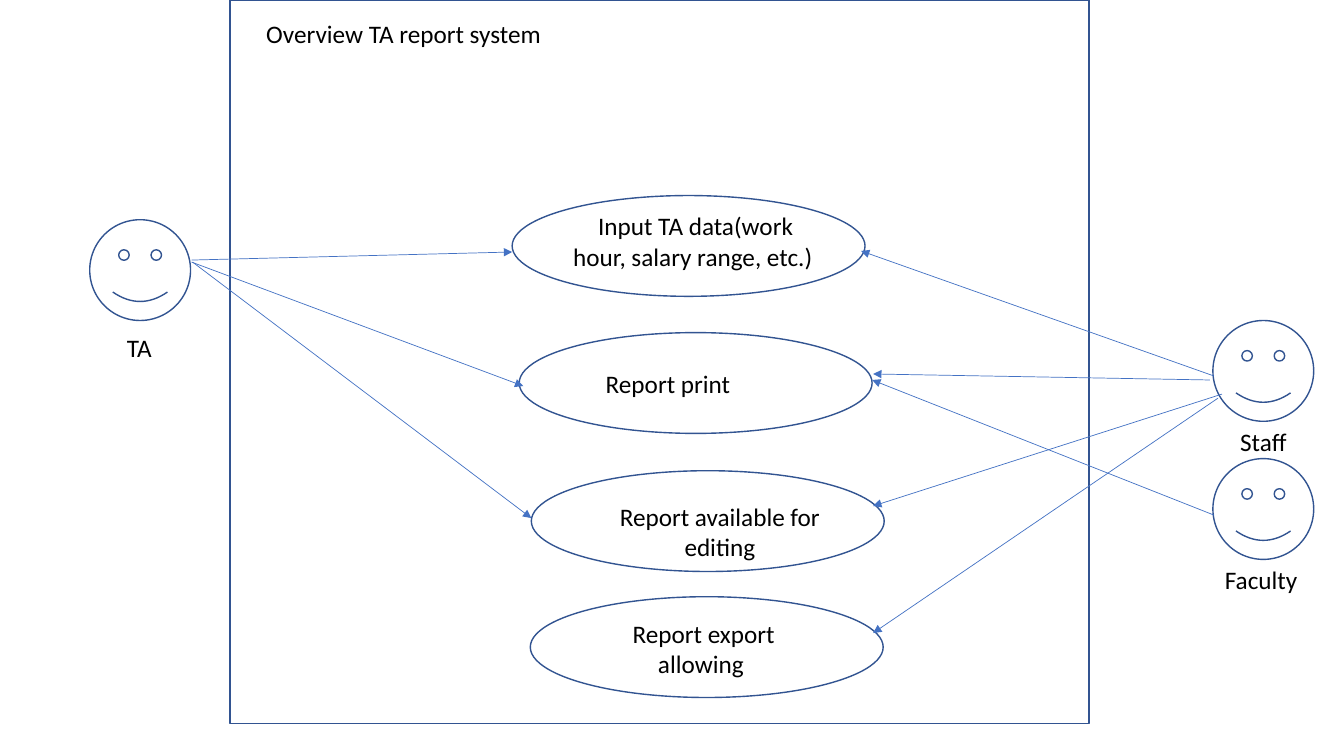
from lxml.etree import SubElement
from pptx import Presentation
from pptx.dml.color import RGBColor
from pptx.enum.shapes import MSO_CONNECTOR as LINE, MSO_SHAPE as SHAPE
from pptx.enum.text import MSO_ANCHOR as ANCHOR, PP_ALIGN as ALIGN
from pptx.oxml.ns import qn
from pptx.util import Inches, Pt

COLORS = {"outline": "325491", "arrow": "4472C4", "text": "000000"}
COLS, ROWS = 13.33, 7.5
FACE, OVAL_W, OVAL_H = 1, 3.5, 1
LABEL_H, TWO_LINES = 0.4, 0.71

# name: face corner, label box (left, top, width), label alignment
ACTORS = {
    "TA": ((0.89, 2.18), (1.16, 3.25, 0.97), ALIGN.LEFT),
    "Staff": ((12.03, 3.18), (11.82, 4.18, 1.42), ALIGN.CENTER),
    "Faculty": ((12.03, 4.55), (12.05, 5.55, 1.03), ALIGN.LEFT),
}

# name: oval corner, label box, label alignment
USE_CASES = {
    "Input TA data(work hour, salary range, etc.)\u00a0":
        ((5.08, 1.94), (5.58, 2.04, 2.64, TWO_LINES), ALIGN.CENTER),
    "Report print":
        ((5.15, 3.3), (5.91, 3.6, 2.64, LABEL_H), ALIGN.LEFT),
    "Report available for editing":
        ((5.27, 4.67), (5.82, 4.92, 2.64, TWO_LINES), ALIGN.CENTER),
    "Report export allowing\u00a0":
        ((5.26, 5.92), (6.11, 6.08, 1.74, TWO_LINES), ALIGN.CENTER),
}

# actor end, use case end
ARROWS = [
    # TA
    ((1.9, 2.58), (5.08, 2.5)),
    ((1.9, 2.6), (5.19, 3.83)),
    ((1.91, 2.6), (5.27, 5.14)),
    # Staff
    ((12.04, 3.73), (8.54, 2.49)),
    ((12, 3.77), (8.66, 3.71)),
    ((12.12, 3.91), (8.66, 5.02)),
    ((12.08, 3.95), (8.66, 6.28)),
    # Faculty
    ((12.04, 5.11), (8.65, 3.77)),
]


class Diagram:
    """Style and current slide; lengths are in one-inch columns and rows."""

    font, size = "Calibri", 18

    def __init__(self, prs):
        """Add a title-only slide."""
        self.slide = prs.slides.add_slide(prs.slide_layouts[5])
        self.shapes = self.slide.shapes

    def color(self, name):
        """Look up a colour by name."""
        return RGBColor.from_string(COLORS[name])

    def set_text(self, sp, text, align):
        """Put one styled paragraph into a shape."""
        tf = sp.text_frame
        tf.word_wrap = True
        tf.vertical_anchor = ANCHOR.TOP
        tf.text = text
        p = tf.paragraphs[0]
        p.alignment = align
        p.font.name, p.font.size = self.font, Pt(self.size)
        p.font.color.rgb = self.color("text")

    def title(self, text, *box):
        """Move and format the title placeholder."""
        sp = self.shapes.title
        sp.left, sp.top, sp.width, sp.height = map(Inches, box)
        self.set_text(sp, text, ALIGN.LEFT)

    def label(self, text, box, align):
        """Add a text box."""
        self.set_text(self.shapes.add_textbox(*map(Inches, box)), text, align)

    def outline(self, kind, *box):
        """Add an unfilled preset shape."""
        sp = self.shapes.add_shape(kind, *map(Inches, box))
        sp.shadow.inherit = False
        sp.fill.background()
        sp.line.color.rgb = self.color("outline")
        sp.line.width = Pt(1)

    def arrow(self, start, end):
        """Add a thin line with a triangle at its end."""
        sp = self.shapes.add_connector(LINE.STRAIGHT, *map(Inches, start + end))
        sp.line.color.rgb = self.color("arrow")
        sp.line.width = Pt(0.5)
        props = sp.element.spPr
        SubElement(props.find(qn("a:ln")), qn("a:tailEnd"), type="triangle")
        SubElement(props, qn("a:effectLst"))


def main():
    """Build the use case diagram."""
    prs = Presentation()
    prs.slide_width, prs.slide_height = Inches(COLS), Inches(ROWS)
    s = Diagram(prs)
    s.outline(SHAPE.RECTANGLE, 2.28, 0, 8.52, 7.18)
    s.title("Overview TA report system", 2.54, 0.13, 2.93, LABEL_H)
    for name, (corner, box, align) in ACTORS.items():
        s.outline(SHAPE.SMILEY_FACE, *corner, FACE, FACE)
        s.label(name, (*box, LABEL_H), align)
    for name, (corner, box, align) in USE_CASES.items():
        s.outline(SHAPE.OVAL, *corner, OVAL_W, OVAL_H)
        s.label(name, box, align)
    for start, end in ARROWS:
        s.arrow(start, end)
    prs.save("out.pptx")


main()
